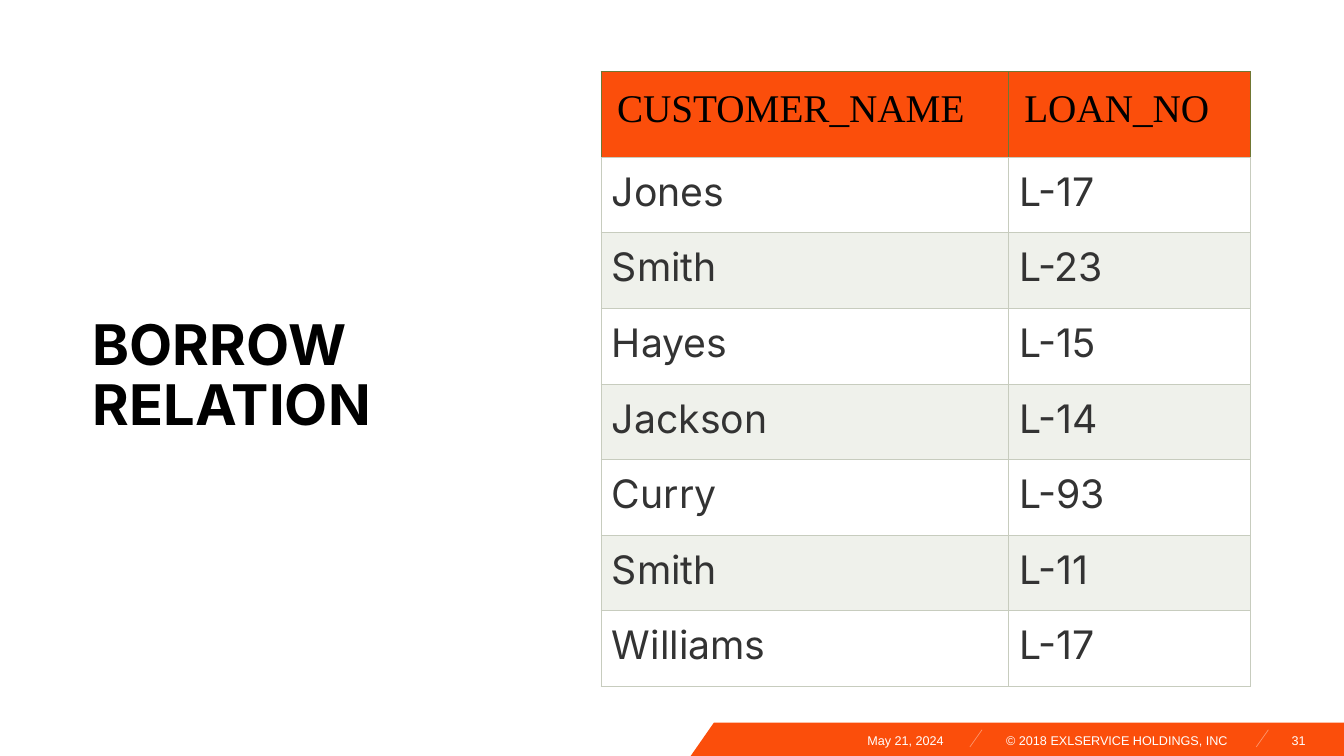
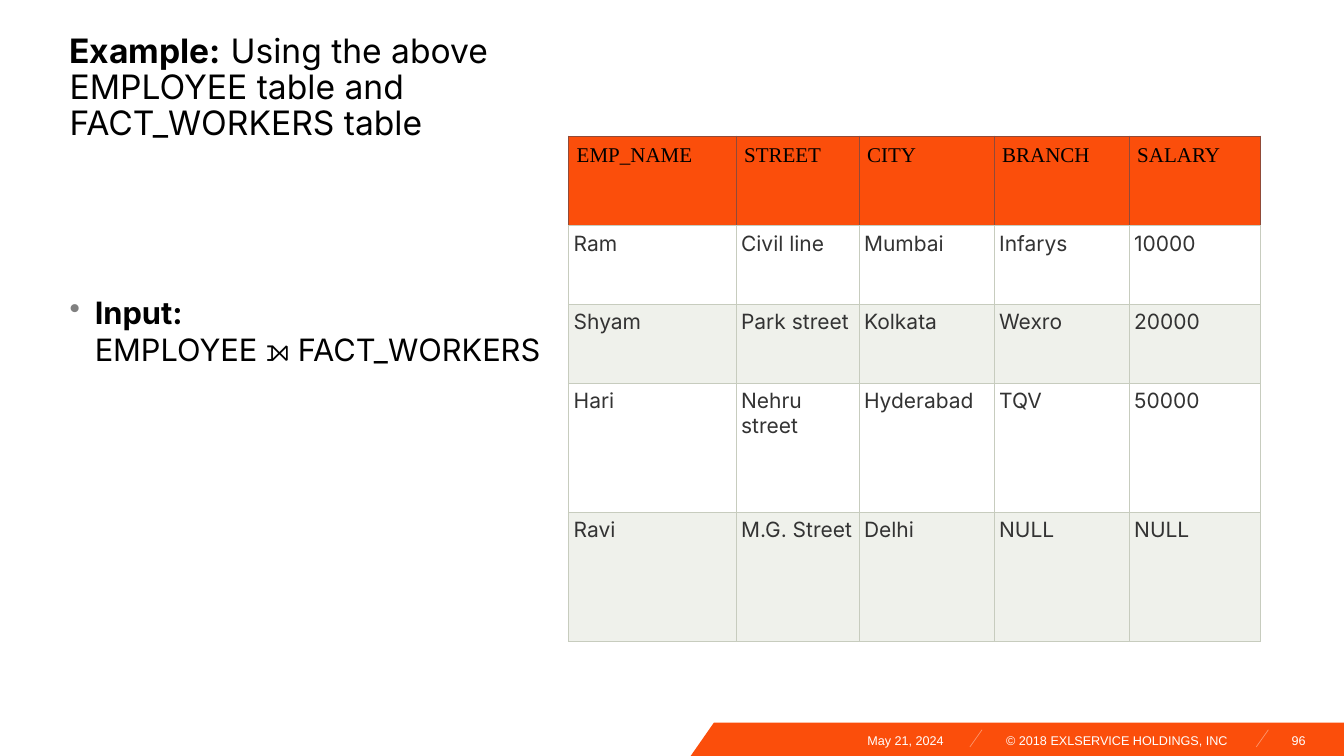
"""Build two slides that show database relations as tables."""
from dataclasses import dataclass

from lxml import etree
from pptx import Presentation
from pptx.dml.color import RGBColor
from pptx.enum.shapes import MSO_CONNECTOR
from pptx.enum.text import MSO_ANCHOR, MSO_AUTO_SIZE, PP_ALIGN
from pptx.oxml.ns import qn
from pptx.util import Inches, Pt

LEFT, RIGHT, JUSTIFY = PP_ALIGN.LEFT, PP_ALIGN.RIGHT, PP_ALIGN.JUSTIFY
TOP, MIDDLE, BOTTOM = MSO_ANCHOR.TOP, MSO_ANCHOR.MIDDLE, MSO_ANCHOR.BOTTOM
STRAIGHT = MSO_CONNECTOR.STRAIGHT
FIXED = MSO_AUTO_SIZE.NONE


@dataclass(frozen=True)
class Theme:
    """Colours, fonts and type sizes of the deck."""
    accent: str = "FB4E0B"
    tick: str = "FC946B"
    black: str = "000000"
    white: str = "FFFFFF"
    ink: str = "333333"
    band: str = "EFF1EB"
    grid: str = "C7CCBE"
    bullet: str = "808080"
    sans: str = "Inter"
    serif: str = "Times New Roman"
    small: str = "Arial"
    big: int = 40
    lead: int = 24
    body: int = 22
    note: int = 9
    rule: float = 0.6


T = Theme()
BREAK = "\n"
DATE = "May 21, 2024"
OWNER = "© 2018 EXLSERVICE HOLDINGS, INC"
BAND = [(7.08, 7.17), (13.33, 7.17), (13.33, 7.5), (6.85, 7.5)]
TICKS = (9.74, 12.58)

SLIDES = [
    {
        "page": "31",
        "title": {"at": (0.92, 0.7, 4.92, 6.09), "anchor": MIDDLE,
                  "runs": [("BORROW RELATION", True)], "size": T.big},
        "table": {
            "at": (5.96, 0.71), "cols": (4.04, 2.4),
            "heights": (0.85,) + (0.75,) * 7,
            "size": 28, "pads": (0.16, 0.11), "edge": "707733",
            "rows": [
                ("CUSTOMER_NAME", "LOAN_NO"),
                ("Jones", "L-17"),
                ("Smith", "L-23"),
                ("Hayes", "L-15"),
                ("Jackson", "L-14"),
                ("Curry", "L-93"),
                ("Smith", "L-11"),
                ("Williams", "L-17"),
            ],
        },
    },
    {
        "page": "96",
        "title": {"at": (0.69, 0.3, 5.27, 1.12), "anchor": BOTTOM,
                  "runs": [("Example:", True),
                           (" Using the above EMPLOYEE table and "
                            "FACT_WORKERS table", False)],
                  "size": T.lead},
        "body": {"at": (0.69, 2.91, 5.27, 3.88),
                 "runs": [("Input:", True), (BREAK, False),
                          ("EMPLOYEE ⟕ FACT_WORKERS", False)]},
        "table": {
            "at": (5.64, 1.35), "cols": (1.66, 1.22, 1.34, 1.34, 1.3),
            "heights": (0.89, 0.78, 0.78, 1.28, 1.28),
            "size": 15, "pads": (0.08, 0.05), "edge": "904A38",
            "rows": [
                ("EMP_NAME", "STREET", "CITY", "BRANCH", "SALARY"),
                ("Ram", "Civil line", "Mumbai", "Infarys", "10000"),
                ("Shyam", "Park street", "Kolkata", "Wexro", "20000"),
                ("Hari", "Nehru street", "Hyderabad", "TQV", "50000"),
                ("Ravi", "M.G. Street", "Delhi", "NULL", "NULL"),
            ],
        },
    },
]


def rgb(code):
    """Turn a hex code into a colour."""
    return RGBColor.from_string(code)


def inches(*sizes):
    """Turn plain numbers into lengths."""
    return [Inches(size) for size in sizes]


def write(frame, runs, *, size, font=T.sans, color=T.black, align=LEFT,
          spacing=None, bullet=False):
    """Fill the first paragraph of a frame with (text, bold) runs."""
    para = frame.paragraphs[0]
    if bullet:
        add_bullet(para)
    para.alignment = align
    if spacing:
        para.line_spacing = spacing
    for text, bold in runs:
        if text == BREAK:
            para.add_line_break()
            continue
        run = para.add_run()
        run.text = text
        run.font.name, run.font.size = font, Pt(size)
        run.font.bold = bold
        run.font.color.rgb = rgb(color)


def add_bullet(para):
    """Give a paragraph a grey dot and a hanging indent."""
    props = para._p.get_or_add_pPr()
    indent = Inches(0.25)
    props.set("marL", str(indent))
    props.set("indent", str(-indent))
    tint = etree.SubElement(props, qn("a:buClr"))
    etree.SubElement(tint, qn("a:srgbClr"), val=T.bullet)
    etree.SubElement(props, qn("a:buChar"), char="•")


def trim(frame, anchor=TOP):
    """Make a frame wrap with no margins."""
    frame.margin_left = frame.margin_right = 0
    frame.margin_top = frame.margin_bottom = 0
    frame.word_wrap = True
    frame.auto_size = FIXED
    frame.vertical_anchor = anchor
    return frame


def add_box(slide, at, runs, **style):
    """Add a text box with one paragraph."""
    box = slide.shapes.add_textbox(*inches(*at))
    write(trim(box.text_frame), runs, **style)


def add_footer(slide, page):
    """Draw the band, its ticks and the footer texts."""
    points = [tuple(inches(*point)) for point in BAND]
    path = slide.shapes.build_freeform(*points[0])
    path.add_line_segments(points[1:], close=True)
    band = path.convert_to_shape()
    band.shadow.inherit = False
    band.fill.solid()
    band.fill.fore_color.rgb = rgb(T.accent)
    band.line.fill.background()
    for x in TICKS:
        ends = inches(x, 7.24, x - 0.12, 7.41)
        tick = slide.shapes.add_connector(STRAIGHT, *ends)
        tick.line.color.rgb = rgb(T.tick)
        tick.line.width = Pt(0.5)
        etree.SubElement(tick._element.spPr, qn("a:effectLst"))
    for x, width, text, align in ((7.09, 2.27, DATE, RIGHT),
                                  (9.98, 2.27, OWNER, LEFT),
                                  (12.58, 0.37, page, RIGHT)):
        add_box(slide, (x, 7.27, width, 0.15), [(text, False)], size=T.note,
                font=T.small, color=T.white, align=align)


def add_title(slide, at, anchor, runs, size):
    """Place and format the title placeholder."""
    title = slide.shapes.title
    title.left, title.top, title.width, title.height = inches(*at)
    write(trim(title.text_frame, anchor), runs, size=size, spacing=0.9)


def style_cell(cell, fill, pad, edges):
    """Set the margins, borders and fill of a cell."""
    cell.margin_left = cell.margin_right = Inches(pad)
    cell.margin_top = cell.margin_bottom = Inches(pad)
    cell.vertical_anchor = TOP
    props = cell._tc.get_or_add_tcPr()
    for side, color in zip("LRTB", edges):
        line = etree.SubElement(props, qn(f"a:ln{side}"), w=str(Pt(T.rule)))
        solid = etree.SubElement(line, qn("a:solidFill"))
        etree.SubElement(solid, qn("a:srgbClr"), val=color)
    cell.fill.solid()
    cell.fill.fore_color.rgb = rgb(fill)


def add_grid(slide, at, cols, heights, size, pads, edge, rows):
    """Add a table with an orange head and banded rows."""
    area = inches(*at, sum(cols), sum(heights))
    table = slide.shapes.add_table(len(rows), len(cols), *area).table
    for col, width in zip(table.columns, cols):
        col.width = Inches(width)
    for r, (row, height) in enumerate(zip(rows, heights)):
        table.rows[r].height = Inches(height)
        if r == 0:
            fill, pad, edges = T.accent, pads[0], [edge] * 3 + [T.grid]
            style = {"font": T.serif}
        else:
            fill, pad = (T.white if r % 2 else T.band), pads[1]
            edges = [T.grid] * 4
            style = {"color": T.ink, "align": JUSTIFY}
        for c, text in enumerate(row):
            cell = table.cell(r, c)
            style_cell(cell, fill, pad, edges)
            write(cell.text_frame, [(text, False)], size=size, **style)


def main():
    """Build and save the deck."""
    deck = Presentation()
    deck.slide_width, deck.slide_height = inches(13.33, 7.5)
    for data in SLIDES:
        slide = deck.slides.add_slide(deck.slide_layouts[5])
        add_footer(slide, data["page"])
        add_title(slide, **data["title"])
        if "body" in data:
            add_box(slide, **data["body"], size=T.body, bullet=True)
        add_grid(slide, **data["table"])
    deck.save("out.pptx")


if __name__ == "__main__":
    main()
